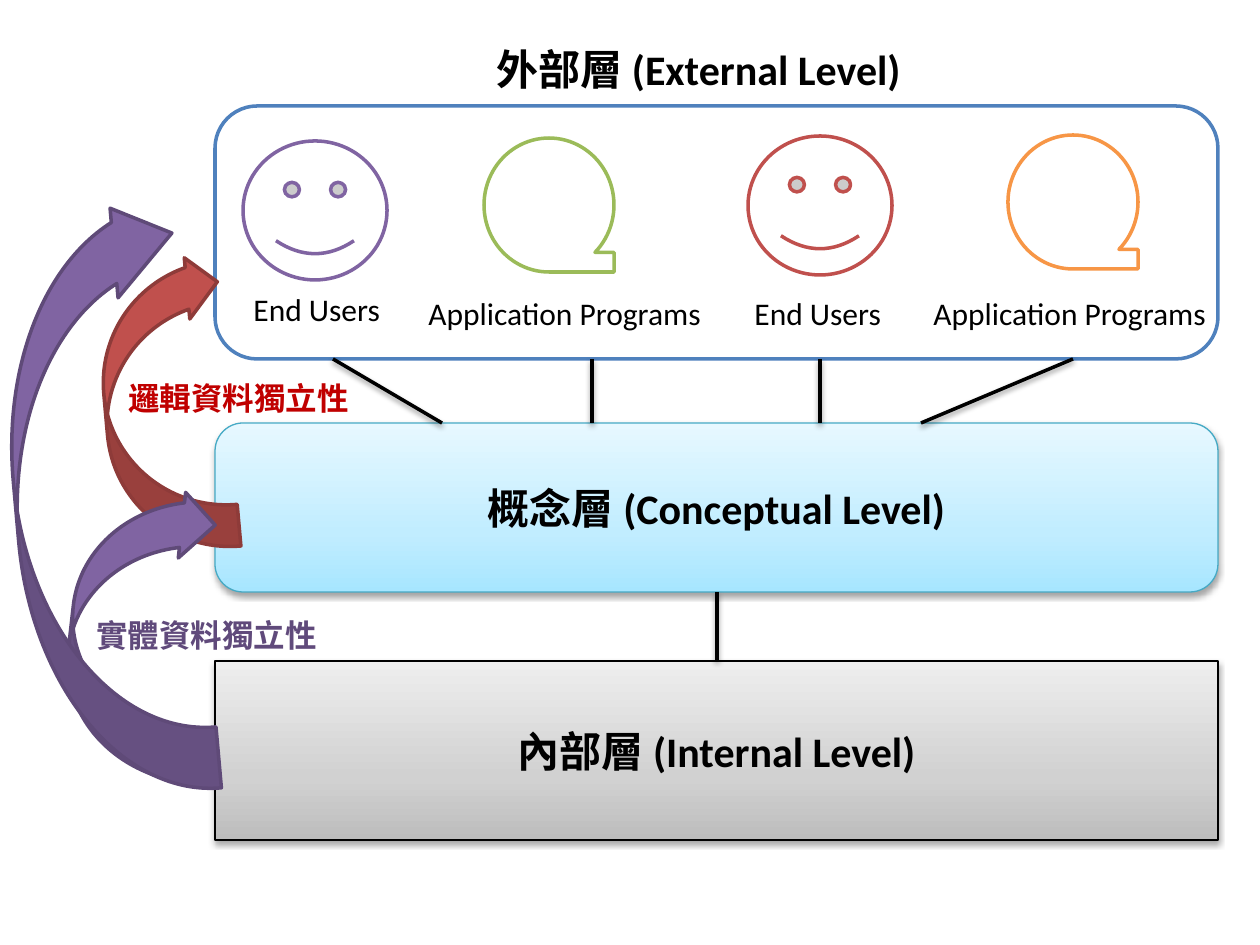
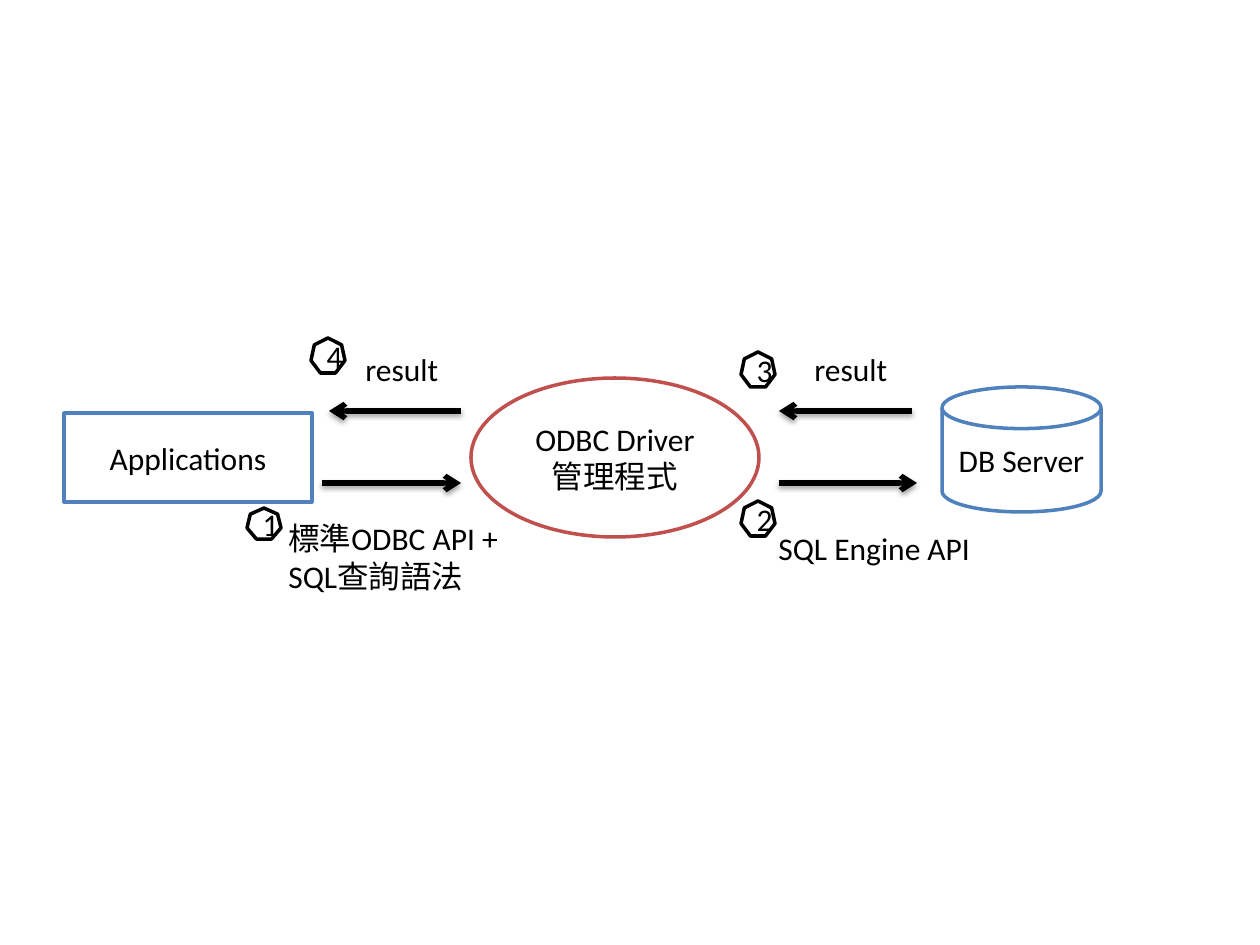
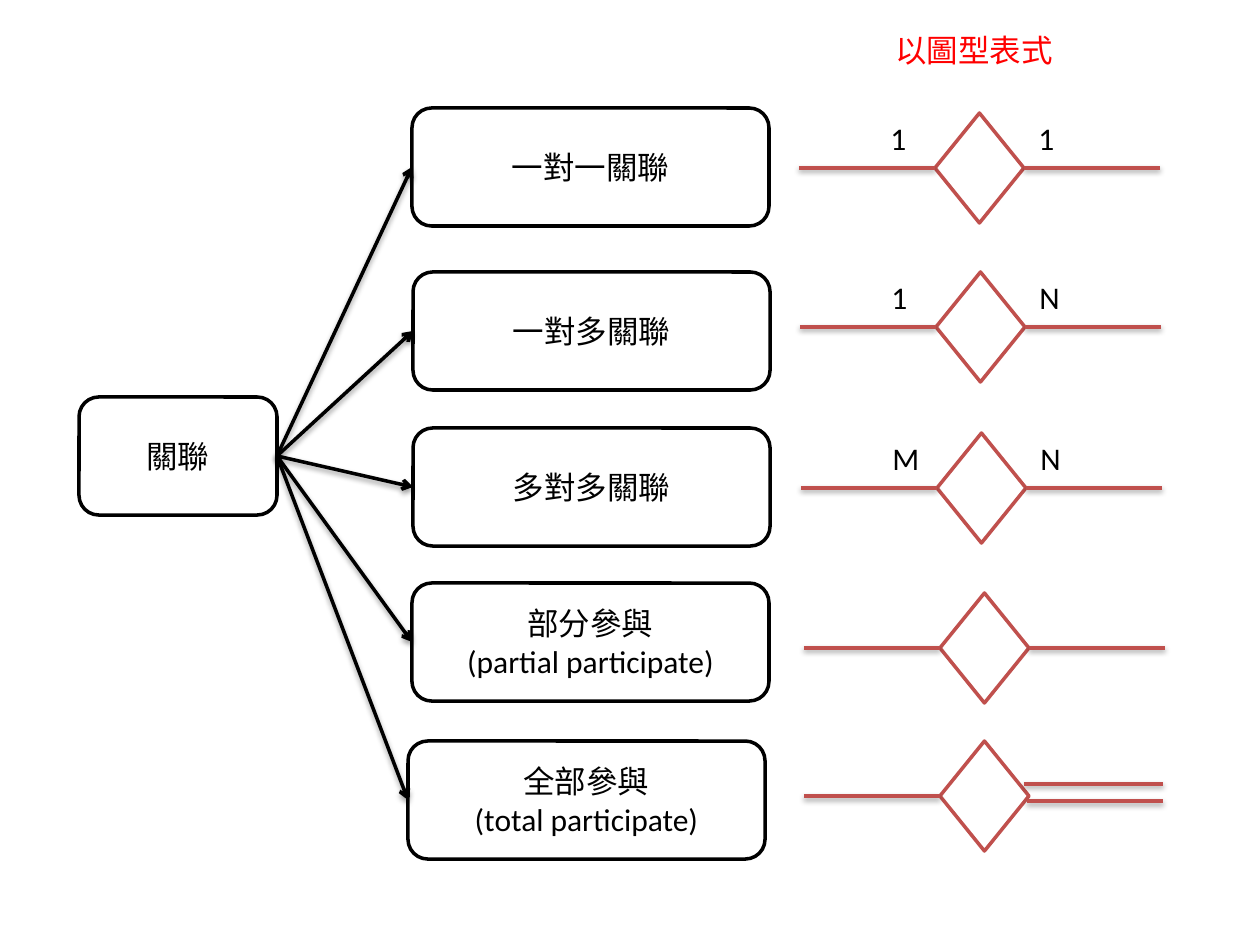
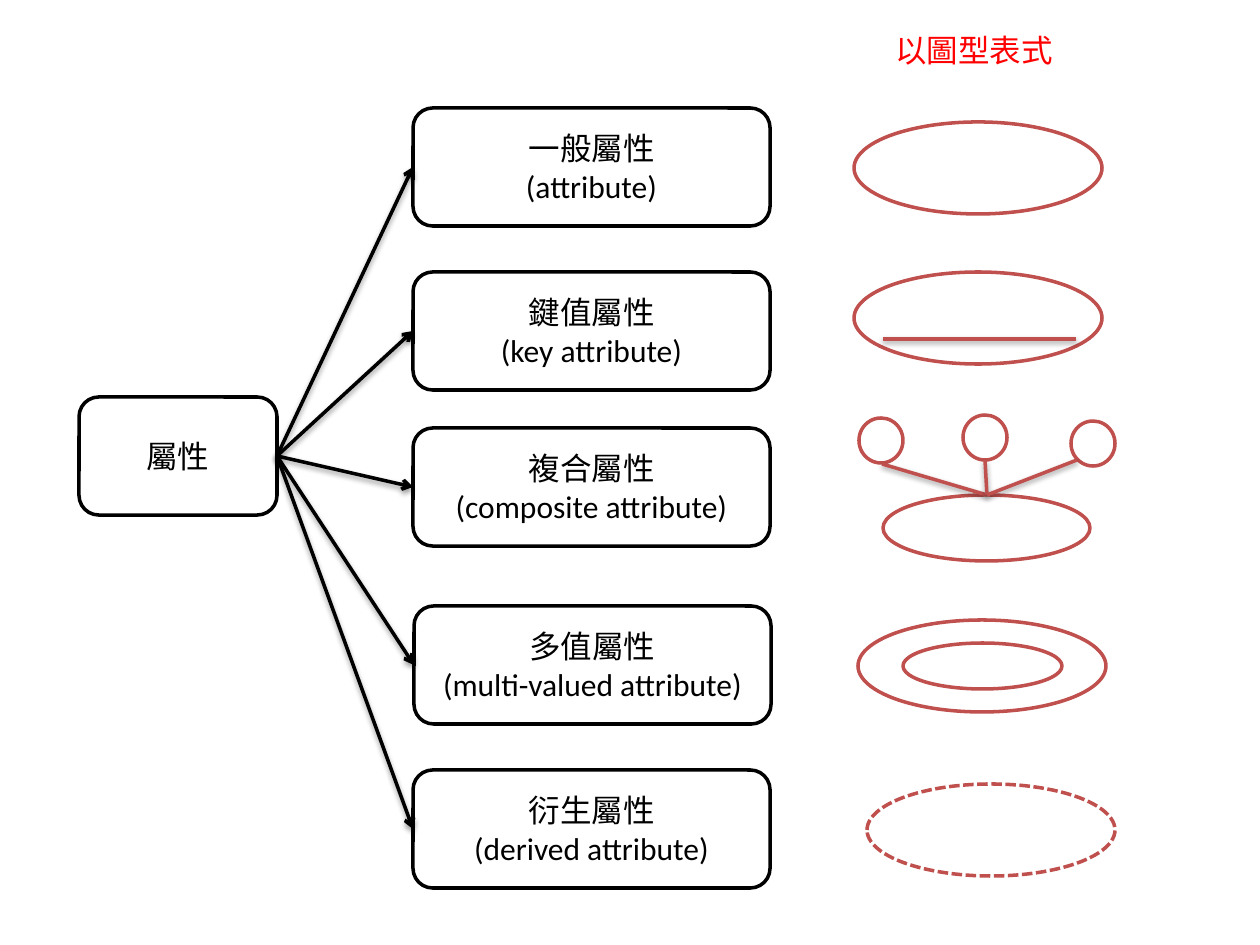
"""Draw four database diagrams: three levels, ODBC flow, relations and attributes."""
from copy import deepcopy
from lxml.etree import SubElement
from pptx import Presentation
from pptx.dml.color import RGBColor
from pptx.enum.dml import MSO_LINE
from pptx.enum.shapes import MSO_CONNECTOR, MSO_SHAPE as S
from pptx.enum.text import MSO_ANCHOR, MSO_AUTO_SIZE, PP_ALIGN
from pptx.oxml.ns import qn
from pptx.util import Inches, Pt

PX = Inches(1) / 126
FONT = "Calibri"
BLACK, WHITE, BLUE, RED = "000000", "FFFFFF", "4F81BD", "C0504D"
GREEN, ORANGE, PURPLE, PLUM = "9BBB59", "F79646", "8064A2", "5F4A78"
tint = RGBColor.from_string


def put(kind, x, y, w, h, text="", edge=BLACK, fill=WHITE, ink=BLACK, size=18, bold=False):
    """Add a shape, or a text box when kind is None, with one paragraph a line."""
    place = [int(v * PX) for v in (x, y, w, h)]
    if kind is None:
        item = page.shapes.add_textbox(*place)
        item.text_frame.auto_size = MSO_AUTO_SIZE.SHAPE_TO_FIT_TEXT
    else:
        item = page.shapes.add_shape(kind, *place)
        item.shadow.inherit = False
        item.fill.solid()
        item.fill.fore_color.rgb = tint(fill)
        item.line.color.rgb = tint(edge)
        item.line.width = Pt(2)
        item.text_frame.vertical_anchor = MSO_ANCHOR.MIDDLE
    frame = item.text_frame
    frame.word_wrap = True
    for n, words in enumerate(text.split("\n") if text else []):
        para = frame.add_paragraph() if n else frame.paragraphs[0]
        para.alignment = PP_ALIGN.CENTER if kind else PP_ALIGN.LEFT
        run = para.add_run()
        run.text = words
        run.font.name, run.font.size, run.font.bold = FONT, Pt(size), bold
        run.font.color.rgb = tint(ink)
    return item


def join(x1, y1, x2, y2, color=BLACK, width=2, arrow=False):
    """Add a straight line that keeps the soft shadow of the theme."""
    ends = [int(v * PX) for v in (x1, y1, x2, y2)]
    item = page.shapes.add_connector(MSO_CONNECTOR.STRAIGHT, *ends)
    item.line.color.rgb = tint(color)
    item.line.width = Pt(width)
    if arrow:
        SubElement(item.element.xpath(".//a:ln")[0], qn("a:tailEnd"), type="arrow")


deck = Presentation()
deck.slide_width, deck.slide_height = Inches(10), Inches(7.5)
blank = deck.slide_layouts[6]

page = deck.slides.add_slide(blank)
put(S.ROUNDED_RECTANGLE, 215, 106, 1003, 253, edge=BLUE)
for x, y, color in ((243, 141, PURPLE), (748, 136, RED)):
    put(S.SMILEY_FACE, x, y, 144, 139, edge=color)
for x, y, color in ((484, 138, GREEN), (1008, 135, ORANGE)):
    put(S.FLOWCHART_SEQUENTIAL_ACCESS_STORAGE, x, y, 130, 134, edge=color)
for x, y, w, words in (
    (241, 284, 158, "End Users"),
    (416, 288, 353, "Application Programs"),
    (742, 288, 158, "End Users"),
    (921, 288, 334, "Application Programs"),
):
    put(None, x, y, w, 50, words)
for kind, y, h, words, edge, shades in (
    (S.ROUNDED_RECTANGLE, 423, 169, "概念層 (Conceptual Level)", "46AAC5",
     ("A7E6FF", "C1EDFF", "E7F8FF")),
    (S.RECTANGLE, 661, 179, "內部層 (Internal Level)", BLACK,
     ("BDBDBD", "D1D1D1", "EEEEEE")),
):
    level = put(kind, 215, y, 1003, h, words, edge, size=24, bold=True)
    level.shadow.inherit = True
    level.line.width = Pt(0.75)
    level.fill.gradient()
    level.fill.gradient_angle = 90
    stops = level.element.xpath(".//a:gsLst")[0]
    stops.insert(1, deepcopy(stops[0]))
    for stop, spot, shade in zip(level.fill.gradient_stops, (0, 0.35, 1), shades):
        stop.position = spot
        stop.color.rgb = tint(shade)
put(None, 484, 37, 533, 63, "外部層 (External Level)", size=24, bold=True)
join(717, 592, 717, 661)
for top, foot in ((333, 442), (592, 592), (820, 820), (1073, 921)):
    join(top, 359, foot, 423)
for x, y, w, h, turn, tip, fill, edge in (
    (105, 256, 123, 296, 174.9, 0.25, RED, "8E3B39"),
    (71, 484, 132, 292, 186.4, 0.25, PURPLE, PLUM),
    (15, 195, 180, 602, 174.9, 0.33, PURPLE, PLUM),
):
    bend = put(S.CURVED_LEFT_ARROW, x, y, w, h, edge=edge, fill=fill)
    bend.rotation = turn
    for n, value in enumerate((0.34, 0.5, tip)):
        bend.adjustments[n] = value
put(None, 116, 373, 566, 50, "邏輯資料獨立性", ink="C00000", bold=True)
put(None, 84, 610, 566, 50, "實體資料獨立性", ink="604A7B", bold=True)

page = deck.slides.add_slide(blank)
put(S.RECTANGLE, 64, 413, 248, 89, "Applications", BLUE)
put(S.OVAL, 471, 378, 288, 159, "ODBC Driver\n管理程式", RED)
put(S.FLOWCHART_MAGNETIC_DISK, 942, 387, 159, 125, "DB Server", BLUE)
for x1, x2, y in ((322, 461, 483), (779, 917, 483), (912, 779, 411), (461, 329, 411)):
    join(x1, y, x2, y, width=3, arrow=True)
for x, y, w, h, words in (
    (276, 513, 238, 89, "標準ODBC API + SQL查詢語法"),
    (766, 523, 228, 50, "SQL Engine API"),
    (802, 344, 139, 50, "result"),
    (353, 344, 139, 50, "result"),
):
    put(None, x, y, w, h, words)
for x, y, h, words in ((741, 501, 35, "2"), (247, 508, 31, "1"), (741, 352, 35, "3"), (311, 338, 35, "4")):
    put(S.HEPTAGON, x, y, 34, h, words)

trees = (
    ("關聯", (
        (412, 108, "一對一關聯"),
        (413, 272, "一對多關聯"),
        (413, 428, "多對多關聯"),
        (412, 583, "部分參與\n(partial participate)"),
        (408, 741, "全部參與\n(total participate)"),
    )),
    ("屬性", (
        (413, 108, "一般屬性\n(attribute)"),
        (413, 272, "鍵值屬性\n(key attribute)"),
        (413, 428, "複合屬性\n(composite attribute)"),
        (414, 606, "多值屬性\n(multi-valued attribute)"),
        (413, 770, "衍生屬性\n(derived attribute)"),
    )),
)
for root, leaves in trees:
    page = deck.slides.add_slide(blank)
    put(S.ROUNDED_RECTANGLE, 79, 397, 198, 118, root)
    put(None, 883, 25, 194, 50, "以圖型表式", ink="FF0000")
    for x, y, words in leaves:
        put(S.ROUNDED_RECTANGLE, x, y, 357, 118, words)
        join(277, 456, x, y + 59, arrow=True)

page = deck.slides[2]
for x, y, left, right in (
    (935, 113, "1", "1"),
    (936, 272, "1", "N"),
    (937, 433, "M", "N"),
    (940, 593, "", ""),
    (940, 741, "", ""),
):
    put(S.DIAMOND, x, y, 89, 110, edge=RED)
    mid = y + 55
    join(x - 136, mid, x, mid, RED)
    if y < 741:
        join(x + 89, mid, x + 225, mid, RED)
    if left:
        put(None, x - 57, y, 48, 50, left)
        put(None, x + 91, y, 48, 50, right)
join(1024, 784, 1163, 784, RED)
join(1027, 801, 1163, 801, RED)

page = deck.slides[3]
for x, y, w, h in (
    (854, 122, 248, 92),
    (854, 272, 248, 92),
    (883, 495, 207, 66),
    (858, 620, 248, 92),
    (903, 643, 159, 46),
    (867, 784, 248, 92),
):
    oval = put(S.OVAL, x, y, w, h, edge=RED)
oval.line.dash_style = MSO_LINE.SQUARE_DOT
join(883, 339, 1076, 339, RED)
for x, y, x1, y1 in ((859, 418, 882, 464), (963, 415, 985, 460), (1071, 421, 1077, 460)):
    put(S.FLOWCHART_CONNECTOR, x, y, 44, 45, edge=RED)
    join(x1, y1, 987, 495, RED)

deck.save("out.pptx")
